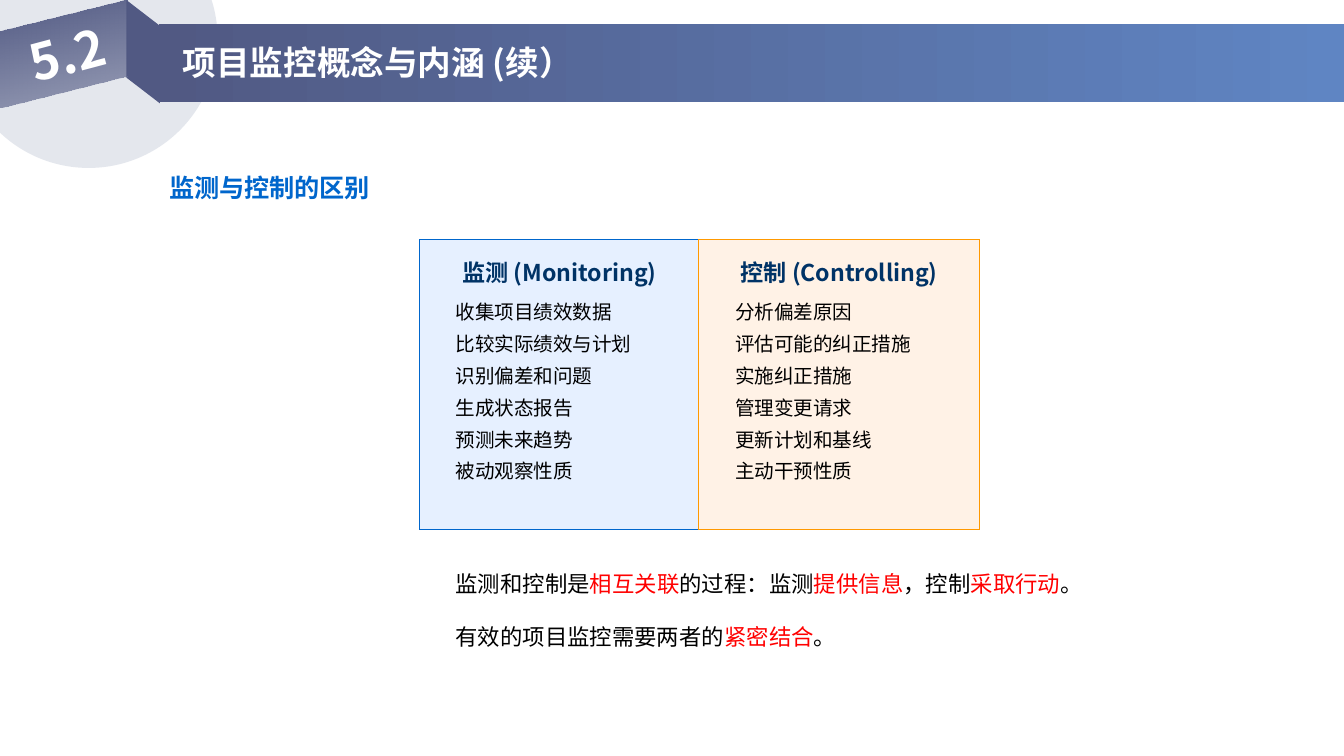
import pptx
import pptx.util
import pptx.dml.color
import pptx.enum.shapes
import pptx.enum.text
import pptx.oxml.ns
from lxml import etree

Pt = pptx.util.Pt
RGB = pptx.dml.color.RGBColor
SHAPE = pptx.enum.shapes.MSO_SHAPE
ALIGN = pptx.enum.text.PP_ALIGN
ANCHOR = pptx.enum.text.MSO_ANCHOR
qn = pptx.oxml.ns.qn

FONT = "Noto Sans CJK SC"
WHITE = RGB(0xFF, 0xFF, 0xFF)
BLACK = RGB(0, 0, 0)
RED = RGB(0xFF, 0, 0)
MIST = RGB(0xA6, 0xB1, 0xC6)
SLATE = RGB(0x51, 0x59, 0x83)
SKY = RGB(0x5F, 0x85, 0xC3)
BLUE = RGB(0, 0x66, 0xCC)
NAVY = RGB(0, 0x33, 0x66)
ICE = RGB(0xE6, 0xF0, 0xFF)
ORANGE = RGB(0xFF, 0x99, 0)
CREAM = RGB(0xFF, 0xF2, 0xE6)


def place(shape, box):
    shape.left, shape.top, shape.width, shape.height = (Pt(v) for v in box)


def draw(slide, kind, box, fill=None, turn=0):
    shape = slide.shapes.add_shape(kind, *(Pt(v) for v in box))
    shape.shadow.inherit = False
    shape.line.fill.background()
    shape.rotation = turn
    if fill is not None:
        shape.fill.solid()
        shape.fill.fore_color.rgb = fill
    return shape


def blend(shape, start, end, angle):
    shape.fill.gradient()
    shape.fill.gradient_angle = angle
    for stop, color in zip(shape.fill.gradient_stops, (start, end)):
        stop.color.rgb = color


def fade(shape, share):
    """Set the opacity, in percent, of the first fill colour."""
    color = next(shape.element.iter(qn("a:srgbClr")))
    etree.SubElement(color, qn("a:alpha"), val=str(share * 1000))


def write(shape, box, lines, size, bold=False, gap=0, align=ALIGN.LEFT,
          anchor=ANCHOR.MIDDLE, inset=0, wrap=True):
    """Fill a text shape with lines, each a list of (text, colour) runs."""
    place(shape, box)
    tree = shape.element.getparent()
    tree.append(shape.element)  # bring in front of the drawn shapes
    frame = shape.text_frame
    frame.auto_size = pptx.enum.text.MSO_AUTO_SIZE.NONE
    frame.word_wrap = wrap
    frame.vertical_anchor = anchor
    frame.margin_left = frame.margin_right = Pt(inset)
    frame.margin_top = frame.margin_bottom = Pt(inset / 2)
    for i, runs in enumerate(lines):
        para = frame.add_paragraph() if i else frame.paragraphs[0]
        props = para._p.get_or_add_pPr()
        props.set("marL", "0")
        props.set("indent", "0")
        etree.SubElement(props, qn("a:buNone"))
        para.alignment = align
        para.line_spacing = 1.0
        para.space_before = Pt(gap if i else 0)
        para.space_after = Pt(0)
        for text, color in runs:
            run = para.add_run()
            run.text = text
            run.font.size = Pt(size)
            run.font.bold = bold
            run.font.color.rgb = color
            run.font.name = FONT
            etree.SubElement(run.font._element, qn("a:ea"), typeface=FONT)


def label(slide):
    return slide.shapes.add_textbox(0, 0, 0, 0)


def header(slide, box, number, title):
    x, y, w, h = box
    disc = draw(slide, SHAPE.OVAL, (x - 21.6, y - 61.2, 138.2, 138.2), MIST)
    fade(disc, 30)
    fold = draw(slide, SHAPE.PARALLELOGRAM, (x + 49, y + 5.7, 55.4, 18),
                SLATE, 270)
    fold.adjustments[0] = 0.77
    tag = draw(slide, SHAPE.PARALLELOGRAM, (x - 5.8, y - 4.3, 80, 39.6),
               turn=346)
    blend(tag, SLATE, SLATE, 90)
    fade(tag, 51)
    bar = draw(slide, SHAPE.RECTANGLE, (x + 85, y, w - 85, h))
    blend(bar, SLATE, SKY, 0)
    write(slide.shapes.title, (x + 90.7, y + 5.7, 247.7, 28.8),
          [[(title, WHITE)]], 18, True, anchor=ANCHOR.TOP, inset=7.2)
    mark = label(slide)
    write(mark, (x + 8.6, y - 5, 59.8, 40.3), [[(number, WHITE)]], 27, True,
          inset=7.2)
    mark.rotation = 345


def panel(slide, box, slots, head, items, fill, edge):
    x, y, w, h = box
    card = draw(slide, SHAPE.RECTANGLE, box, fill)
    card.line.color.rgb = edge
    card.line.width = Pt(0.01)
    top, body = (slide.placeholders[slot] for slot in slots)
    write(top, (x, y + 10, w, 15.1), [[(head, NAVY)]], 12.4, True,
          align=ALIGN.CENTER)
    write(body, (x + 19.6, y + 32.7, w - 24, h - 36),
          [[(item, BLACK)] for item in items], 10.5, gap=4.45,
          anchor=ANCHOR.TOP)


def notes(slide, box, lines):
    write(label(slide), box, lines, 12, gap=14.2)


def main():
    deck = pptx.Presentation()
    deck.slide_width, deck.slide_height = Pt(720), Pt(405)
    slide = deck.slides.add_slide(deck.slide_layouts.get_by_name("Comparison"))
    header(slide, (0, 13, 720, 41.5), "5.2", "项目监控概念与内涵 (续）")
    write(label(slide), (90.7, 92.2, 108.7, 16.6),
          [[("监测与控制的区别", BLUE)]], 13.5, True, wrap=False)
    panels = [
        ((1, 2), "监测 (Monitoring)",
         ["收集项目绩效数据", "比较实际绩效与计划", "识别偏差和问题",
          "生成状态报告", "预测未来趋势", "被动观察性质"], ICE, BLUE),
        ((3, 4), "控制 (Controlling)",
         ["分析偏差原因", "评估可能的纠正措施", "实施纠正措施",
          "管理变更请求", "更新计划和基线", "主动干预性质"], CREAM, ORANGE),
    ]
    for i, parts in enumerate(panels):
        panel(slide, (224.6 + 149.8 * i, 128.2, 150.5, 155.5), *parts)
    notes(slide, (244.1, 302, 345.6, 49.4), [
        [("监测和控制是", BLACK), ("相互关联", RED), ("的过程：监测", BLACK),
         ("提供信息", RED), ("，控制", BLACK), ("采取行动", RED),
         ("。", BLACK)],
        [("有效的项目监控需要两者的", BLACK), ("紧密结合", RED),
         ("。", BLACK)],
    ])
    deck.save("out.pptx")


if __name__ == "__main__":
    main()
